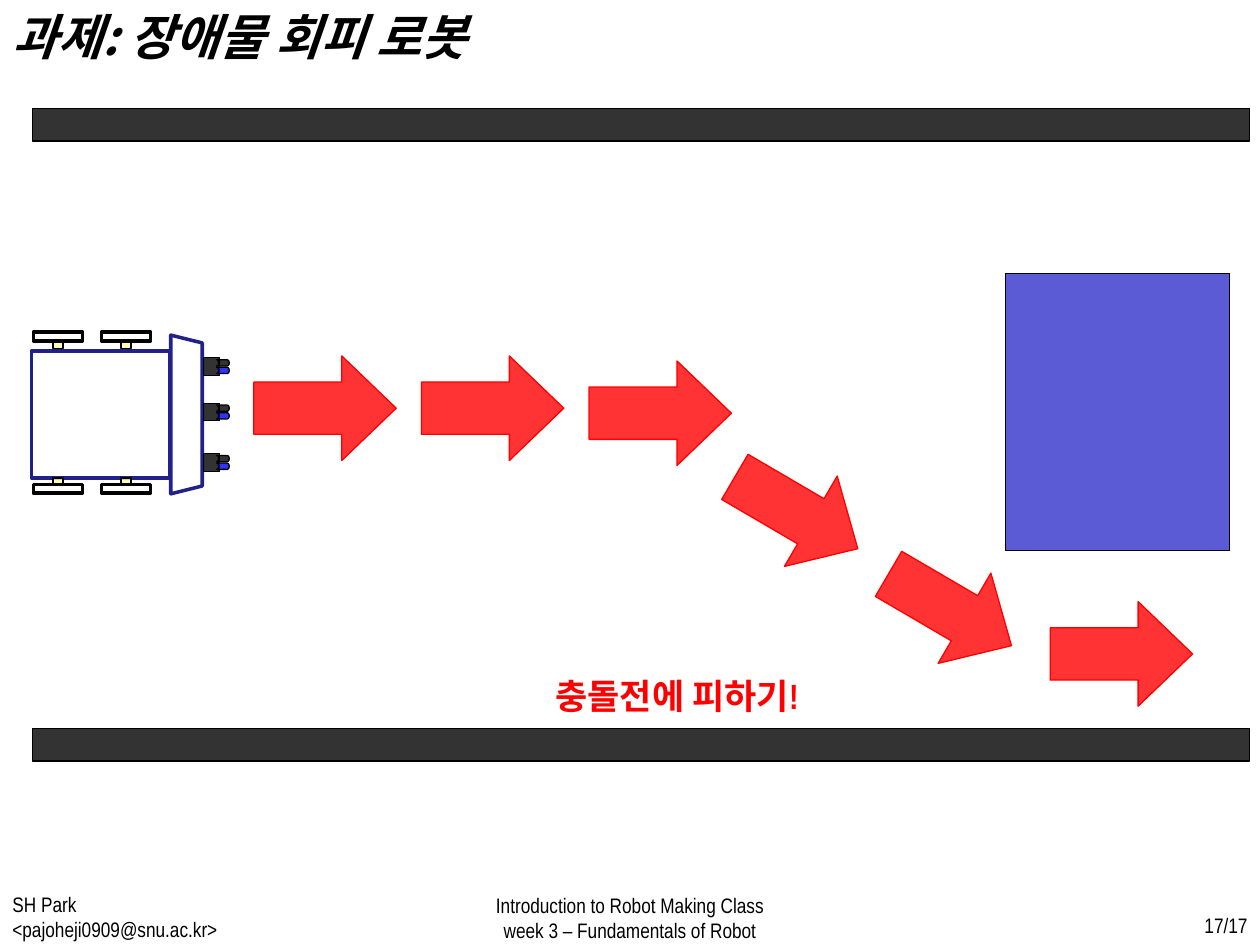
from pptx import Presentation
from pptx.dml.color import RGBColor
from pptx.enum.shapes import MSO_SHAPE as Kind
from pptx.enum.text import MSO_ANCHOR as Anchor, PP_ALIGN as Align
from pptx.oxml.ns import qn
from pptx.util import Inches, Pt
from lxml.etree import SubElement

BLACK = RGBColor(0x00, 0x00, 0x00)
WHITE = RGBColor(0xFF, 0xFF, 0xFF)
RED = RGBColor(0xFF, 0x00, 0x00)
BLUE = RGBColor(0x00, 0x00, 0xFF)
NAVY = RGBColor(0x21, 0x21, 0x89)
INDIGO = RGBColor(0x33, 0x33, 0xCC)
CREAM = RGBColor(0xFF, 0xFF, 0x99)
LATIN, KOREAN = "Arial Narrow", "Noto Sans CJK KR"

TITLE = "과제: 장애물 회피 로봇"
LABELS = [
    ("17/17", (9.33, 7.18, 0.67, 0.32), Align.RIGHT, 12, BLACK, False),
    ("Introduction to Robot Making Class\nweek 3 – Fundamentals of Robot",
     (0, 7.06, 10, 0.44), Align.CENTER, 12, BLACK, False),
    ("SH Park <pajoheji0909@snu.ac.kr>", (0, 7.05, 1.91, 0.45), Align.LEFT, 12, BLACK, False),
    ("충돌전에 피하기!", (4.31, 5.3, 4.2, 0.44), Align.LEFT, 20, RED, True),
]
WALLS = [0.86, 5.78]
SENSORS = [3.67, 3.27, 2.91]
AXLES = [(y, x) for y in [(3.83, 3.88), (2.73, 2.67)] for x in (1.0, 0.46)]
ARROWS = [(2.58, 3.24, 0), (3.91, 3.24, 0), (5.24, 3.28, 0),
          (6.32, 4.07, 30.3), (7.54, 4.84, 30.3), (8.9, 5.19, 0)]


def write(box, text, align, size, color, bold, font=LATIN, italic=False):
    frame = box.text_frame
    frame.word_wrap = True
    frame.vertical_anchor = Anchor.MIDDLE
    frame.text = text
    for para in frame.paragraphs:
        para.alignment = align
        for run in para.runs:
            face = run.font
            face.name, face.size = font, Pt(size)
            face.bold, face.italic = bold, italic
            face.color.rgb = color
            SubElement(run._r.get_or_add_rPr(), qn("a:ea"), typeface=KOREAN)


def draw(shapes, kind, mid, size, fill, line=BLACK, weight=0.75, clear=True, turn=0):
    (x, y), (w, h) = mid, size
    shape = shapes.add_shape(kind, Inches(x - w / 2), Inches(y - h / 2), Inches(w), Inches(h))
    shape.shadow.inherit = False
    shape.rotation = turn
    shape.fill.solid()
    shape.fill.fore_color.rgb = fill
    shape.line.color.rgb = line
    shape.line.width = Pt(weight)
    if clear:
        tint = shape._element.spPr.find(qn("a:solidFill"))[0]
        SubElement(tint, qn("a:alpha"), val="80000")
    return shape


deck = Presentation()
deck.slide_width, deck.slide_height = Inches(10), Inches(7.5)
slide = deck.slides.add_slide(deck.slide_layouts[5])
scene = slide.shapes

title = scene.title
title.left, title.top, title.width, title.height = map(Inches, (0, 0, 10, 0.57))
write(title, TITLE, Align.LEFT, 28, BLACK, True, KOREAN, True)

for text, place, *style in LABELS:
    write(scene.add_textbox(*map(Inches, place)), text, *style)

for top in WALLS:
    draw(scene, Kind.RECTANGLE, (5.09, top + 0.13), (9.66, 0.26), BLACK)
draw(scene, Kind.RECTANGLE, (8.87, 3.27), (1.78, 2.2), INDIGO)

robot = scene.add_group_shape().shapes
draw(robot, Kind.TRAPEZOID, (1.48, 3.29), (1.26, 0.25), WHITE, NAVY, 2, False, 90)
draw(robot, Kind.RECTANGLE, (0.8, 3.29), (1.1, 1.01), WHITE, NAVY, 2, False)
for y in SENSORS:
    draw(robot, Kind.RECTANGLE, (1.68, y), (0.13, 0.14), BLACK)
    for shift, color in [(0.03, BLUE), (-0.03, BLACK)]:
        eye = draw(robot, Kind.FLOWCHART_STORED_DATA, (1.77, y + shift), (0.1, 0.05), color)
        eye._element.spPr.find(qn("a:xfrm")).set("flipH", "1")
for (hub, rim), x in AXLES:
    draw(robot, Kind.RECTANGLE, (x, hub), (0.08, 0.07), CREAM)
    draw(robot, Kind.RECTANGLE, (x, rim), (0.39, 0.07), WHITE, BLACK, 2, False)

route = scene.add_group_shape().shapes
for x, y, turn in ARROWS:
    arrow = draw(route, Kind.RIGHT_ARROW, (x, y), (1.13, 0.83), RED, RED, turn=turn)
    arrow.adjustments[1] = 0.52

deck.save("out.pptx")
